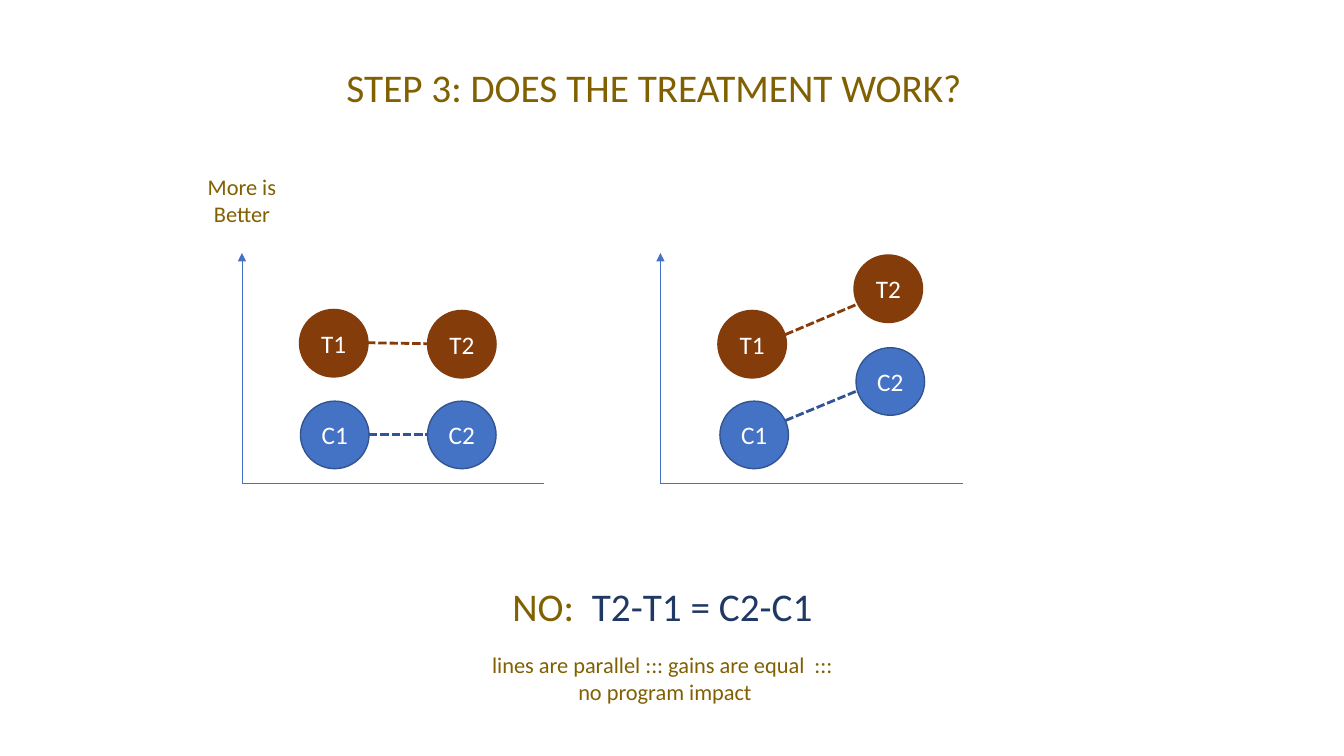
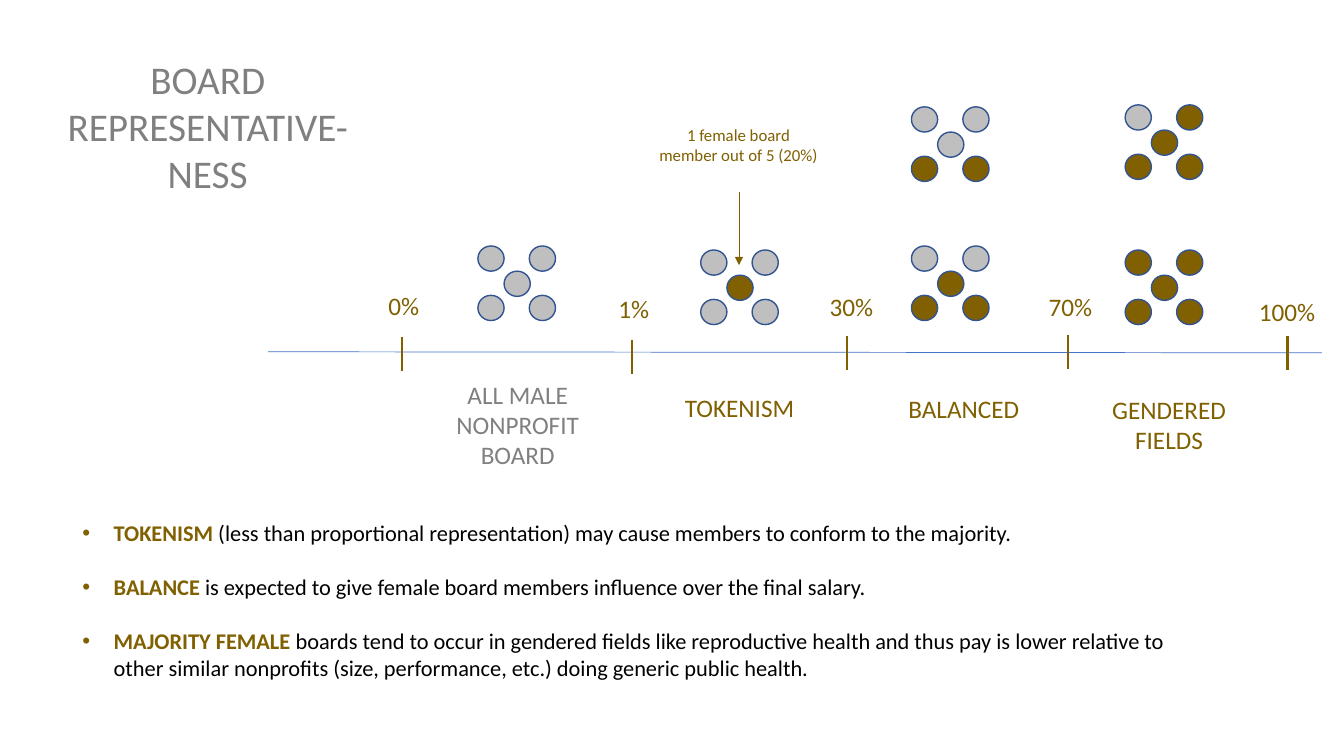
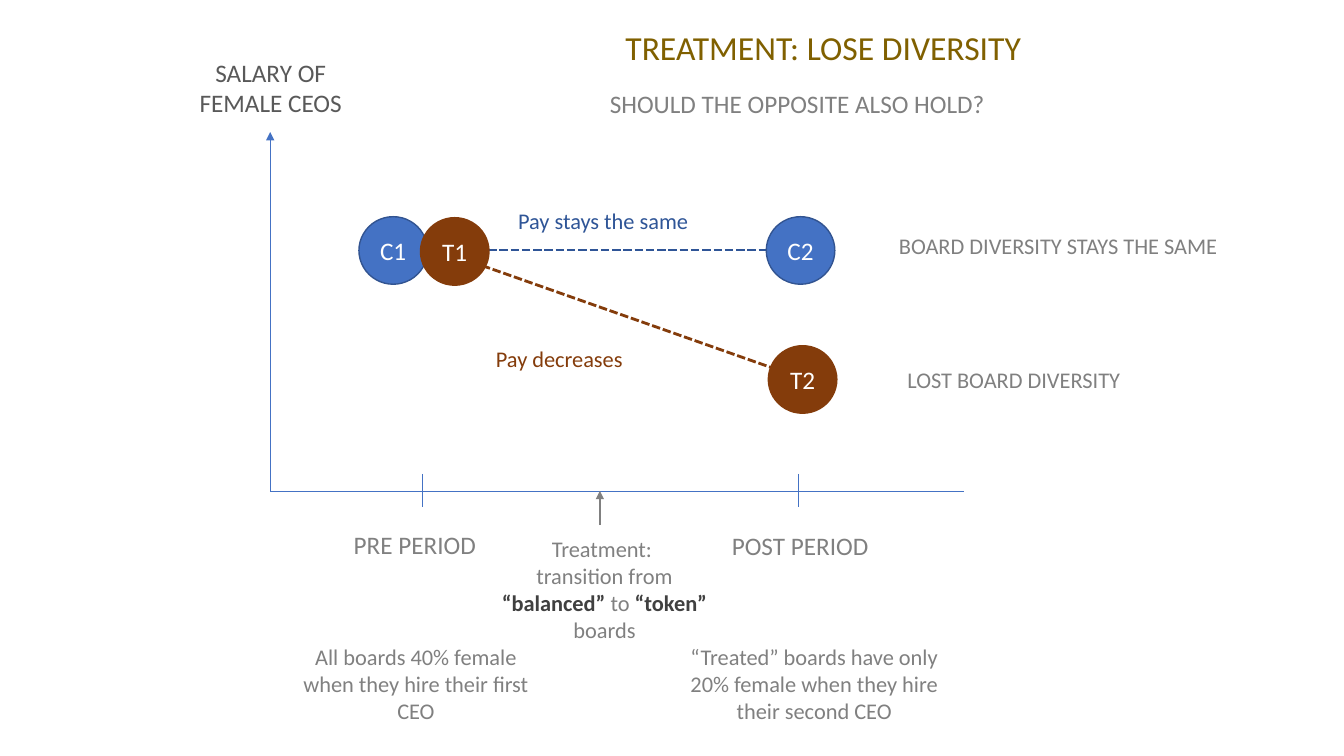
from dataclasses import dataclass
from typing import Optional

from lxml import etree
from pptx import Presentation
from pptx.dml import color as dml
from pptx.enum import dml as dash, shapes, text
from pptx.oxml import ns
from pptx.util import Inches, Pt

FONT = "Calibri"
GOLD, GRAY, DARK, SLATE = "806000", "808080", "404040", "595959"
BLUE, BLUE_EDGE, BLUE_LINK, NAVY = "4472C4", "325491", "2F5597", "203864"
BROWN, SILVER, WHITE, BLACK = "843C0B", "BFBFBF", "FFFFFF", "000000"
CENTER, LEFT = text.PP_ALIGN.CENTER, text.PP_ALIGN.LEFT
DISC_W, DISC_H = 0.68, 0.67
DOT_W, DOT_H = 0.26, 0.25
DOT_OFFSETS = [(0, 0), (0.51, 0), (0, 0.49), (0.51, 0.49), (0.26, 0.25)]
TICK_H = 0.34


@dataclass
class Run:
    """A piece of text with its own colour and weight."""
    text: str
    color: str
    bold: bool = False


@dataclass
class Note:
    """A text box; each paragraph is a list of runs."""
    left: float
    top: float
    width: float
    height: float
    paras: list[list[Run]]
    size: float = 16
    align: text.PP_ALIGN = CENTER
    wrap: bool = True
    bullet: bool = False


@dataclass
class Rule:
    """A straight line, dashed or with an arrowhead at its end if asked."""
    x1: float
    y1: float
    x2: float
    y2: float
    color: str = BLUE
    weight: float = 0.5
    dashed: bool = False
    arrow: bool = False


@dataclass
class Disc:
    """A labelled group: T for treatment, C for control."""
    label: str
    left: float
    top: float


@dataclass
class Board:
    """Five board members; F marks a woman, M a man."""
    left: float
    top: float
    members: str


@dataclass
class Tick:
    """A mark on the share scale with its label position."""
    x: float
    top: float
    label: str
    label_left: float
    label_top: float


def rgb(value: str) -> dml.RGBColor:
    """Turn a hex string into a colour."""
    return dml.RGBColor.from_string(value)


def line(words: str, color: str) -> list[list[Run]]:
    """One paragraph holding one run."""
    return [[Run(words, color)]]


def add_run(p, run: Run, size: float) -> None:
    """Append a formatted run to a paragraph."""
    r = p.add_run()
    r.text = run.text
    r.font.name, r.font.size, r.font.bold = FONT, Pt(size), run.bold
    r.font.color.rgb = rgb(run.color)


def add_bullet(p, color: str) -> None:
    """Give a paragraph a round bullet and a hanging indent."""
    props = p._p.get_or_add_pPr()
    props.set("marL", str(Inches(0.31)))
    props.set("indent", str(Inches(-0.31)))
    tint = etree.SubElement(props, ns.qn("a:buClr"))
    etree.SubElement(tint, ns.qn("a:srgbClr"), val=color)
    etree.SubElement(props, ns.qn("a:buFont"), typeface="Arial")
    etree.SubElement(props, ns.qn("a:buChar"), char="•")


def draw_note(s, note: Note) -> None:
    """Draw a text box."""
    box = s.shapes.add_textbox(Inches(note.left), Inches(note.top),
                               Inches(note.width), Inches(note.height))
    tf = box.text_frame
    tf.word_wrap = note.wrap
    tf.auto_size = text.MSO_AUTO_SIZE.SHAPE_TO_FIT_TEXT
    for i, runs in enumerate(note.paras):
        p = tf.add_paragraph() if i else tf.paragraphs[0]
        p.alignment = note.align
        if note.bullet:
            if i < len(note.paras) - 1:
                p.space_after = Pt(19.5)
            add_bullet(p, runs[0].color)
        for run in runs:
            add_run(p, run, note.size)


def draw_rule(s, rule: Rule) -> None:
    """Draw a line without shadow."""
    c = s.shapes.add_connector(shapes.MSO_CONNECTOR.STRAIGHT,
                               Inches(rule.x1), Inches(rule.y1),
                               Inches(rule.x2), Inches(rule.y2))
    c.line.color.rgb = rgb(rule.color)
    c.line.width = Pt(rule.weight)
    if rule.dashed:
        c.line.dash_style = dash.MSO_LINE.SQUARE_DOT
    if rule.arrow:
        etree.SubElement(c.line._get_or_add_ln(), ns.qn("a:tailEnd"), type="triangle")
    etree.SubElement(c._element.spPr, ns.qn("a:effectLst"))


def draw_ellipse(holder, left: float, top: float, width: float, height: float,
                 fill: str, edge: str):
    """Draw a plain ellipse on a slide or in a group."""
    sp = holder.shapes.add_shape(shapes.MSO_SHAPE.OVAL, Inches(left), Inches(top),
                                 Inches(width), Inches(height))
    sp.shadow.inherit = False
    sp.fill.solid()
    sp.fill.fore_color.rgb = rgb(fill)
    sp.line.color.rgb = rgb(edge)
    sp.line.width = Pt(1)
    return sp


def draw_disc(s, disc: Disc) -> None:
    """Draw a labelled disc coloured by its group."""
    fill, edge = (BROWN, BROWN) if disc.label[0] == "T" else (BLUE, BLUE_EDGE)
    tf = draw_ellipse(s, disc.left, disc.top, DISC_W, DISC_H, fill, edge).text_frame
    tf.word_wrap = False
    tf.vertical_anchor = text.MSO_ANCHOR.MIDDLE
    p = tf.paragraphs[0]
    p.alignment = CENTER
    add_run(p, Run(disc.label, WHITE), 18)


def draw_board(s, board: Board) -> None:
    """Draw five grouped dots: four corners and the centre."""
    group = s.shapes.add_group_shape()
    for (dx, dy), member in zip(DOT_OFFSETS, board.members):
        draw_ellipse(group, board.left + dx, board.top + dy, DOT_W, DOT_H,
                     GOLD if member == "F" else SILVER, BLUE_EDGE)


def draw_tick(s, tick: Tick) -> None:
    """Draw a scale mark and its percentage."""
    draw_rule(s, Rule(tick.x, tick.top, tick.x, tick.top + TICK_H, GOLD, 1.5))
    draw_note(s, Note(tick.label_left, tick.label_top, 1.45, 0.4,
                      line(tick.label, GOLD), 18))


def draw_axes(s, x: float, top: float, right: float, base: float) -> None:
    """Draw an upward arrow and a base line."""
    draw_rule(s, Rule(x, base, x, top, arrow=True))
    draw_rule(s, Rule(x, base, right, base))


def link(x1: float, y1: float, x2: float, y2: float, color: str) -> Rule:
    """A dashed trend between two discs."""
    return Rule(x1, y1, x2, y2, color, 2, dashed=True)


def draw_all(s, draw: Optional[callable], items: list) -> None:
    """Draw each item of a list with one function."""
    for item in items:
        draw(s, item)


def build_step(s) -> None:
    """Two charts with parallel trends."""
    draw_all(s, draw_rule, [
        link(7.48, 3.45, 8.71, 2.93, BROWN),
        link(7.48, 4.3, 8.81, 3.75, BLUE_LINK),
        link(3.64, 3.4, 4.24, 3.41, BROWN),
        link(3.66, 4.31, 4.24, 4.31, BLUE_LINK),
    ])
    for x in (2.4, 6.55):
        draw_axes(s, x, 2.51, x + 3, 4.8)
    draw_all(s, draw_disc, [
        Disc("T1", 2.97, 3.07), Disc("T2", 4.24, 3.08),
        Disc("C1", 2.98, 3.98), Disc("C2", 4.24, 3.98),
        Disc("T1", 7.12, 3.08), Disc("T2", 8.47, 2.53),
        Disc("C1", 7.14, 3.98), Disc("C2", 8.49, 3.45),
    ])
    draw_all(s, draw_note, [
        Note(2.88, 0.58, 7.21, 0.57, line("STEP 3: DOES THE TREATMENT WORK?", GOLD),
             28, wrap=False),
        Note(1.82, 1.67, 1.16, 0.64, line("More is Better", GOLD)),
        Note(4.64, 5.73, 3.86, 0.57,
             [[Run("NO:  ", GOLD), Run("T2-T1 = C2-C1", NAVY)]], 28, wrap=False),
        Note(4.72, 6.41, 3.75, 0.64,
             line("lines are parallel ::: gains are equal  :::  no program impact", GOLD)),
    ])


def build_boards(s) -> None:
    """A scale of female board shares with sample boards."""
    draw_rule(s, Rule(2.66, 3.49, 13.11, 3.5))
    draw_all(s, draw_board, [
        Board(4.74, 2.44, "MMMMM"), Board(6.95, 2.48, "MMMMF"),
        Board(9.04, 1.06, "MMFFM"), Board(9.04, 2.44, "MMFFF"),
        Board(11.16, 1.04, "MFFFF"), Board(11.16, 2.48, "FFFFF"),
    ])
    draw_all(s, draw_tick, [
        Tick(3.99, 3.34, "0%", 3.28, 2.83),
        Tick(6.27, 3.37, "1%", 5.56, 2.86),
        Tick(8.4, 3.33, "30%", 7.72, 2.84),
        Tick(10.59, 3.32, "70%", 9.89, 2.84),
        Tick(12.77, 3.33, "100%", 12.04, 2.89),
    ])
    draw_rule(s, Rule(7.33, 1.9, 7.33, 2.63, GOLD, arrow=True))
    points = [
        ("TOKENISM", " (less than proportional representation) may cause members "
                     "to conform to the majority."),
        ("BALANCE", " is expected to give female board members influence over "
                    "the final salary."),
        ("MAJORITY FEMALE", " boards tend to occur in gendered fields like reproductive "
                            "health and thus pay is lower relative to other similar "
                            "nonprofits (size, performance, etc.) doing generic public "
                            "health."),
    ]
    draw_all(s, draw_note, [
        Note(0.34, 0.5, 3.44, 1.51, line("BOARD REPRESENTATIVE-NESS", GRAY), 28),
        Note(6.44, 1.19, 1.77, 0.71, line("1 female board member out of 5 (20%)", GOLD), 12),
        Note(4.41, 3.71, 1.45, 1.01, line("ALL MALE NONPROFIT BOARD", GRAY), 18),
        Note(6.61, 3.84, 1.45, 0.4, line("TOKENISM", GOLD), 18),
        Note(8.63, 3.85, 1.86, 0.4, line("BALANCED", GOLD), 18),
        Note(10.59, 3.86, 2.01, 0.71, line("GENDERED FIELDS", GOLD), 18),
        Note(0.72, 5.1, 11.07, 1.72,
             [[Run(term, GOLD, True), Run(rest, BLACK)] for term, rest in points],
             align=LEFT, bullet=True),
    ])


def build_treatment(s) -> None:
    """Salary before and after boards lose diversity."""
    draw_all(s, draw_rule, [
        link(4.57, 2.56, 7.83, 3.71, BROWN),
        link(4.17, 2.48, 7.6, 2.48, BLUE_LINK),
    ])
    draw_axes(s, 2.68, 1.31, 9.56, 4.87)
    draw_all(s, draw_rule, [Rule(x, 4.7, x, 5.03) for x in (4.19, 7.92)])
    draw_rule(s, Rule(5.95, 5.21, 5.95, 4.87, GRAY, 1.25, arrow=True))
    draw_all(s, draw_disc, [
        Disc("C1", 3.56, 2.15), Disc("C2", 7.6, 2.15),
        Disc("T1", 4.17, 2.16), Disc("T2", 7.62, 3.43),
    ])
    transition = [
        [Run("Treatment: ", GRAY)],
        [Run("transition from ", GRAY), Run("“balanced” ", DARK, True), Run("to ", GRAY),
         Run("“token” ", DARK, True), Run("boards", GRAY)],
    ]
    draw_all(s, draw_note, [
        Note(5.81, 0.22, 4.71, 0.5, line("TREATMENT: LOSE DIVERSITY", GOLD), 24, wrap=False),
        Note(5.95, 0.83, 5.03, 0.4, line("SHOULD THE OPPOSITE ALSO HOLD?", GRAY), 18, LEFT),
        Note(1.85, 0.52, 1.67, 0.71, line("SALARY OF FEMALE CEOS", SLATE), 18),
        Note(5.04, 2.01, 2.28, 0.37, line("Pay stays the same", BLUE_LINK), align=LEFT),
        Note(4.82, 3.38, 1.85, 0.37, line("Pay decreases", BROWN), align=LEFT),
        Note(8.79, 2.25, 3.41, 0.37, line("BOARD DIVERSITY STAYS THE SAME", GRAY)),
        Note(8.81, 3.58, 2.49, 0.37, line("LOST BOARD DIVERSITY", GRAY)),
        Note(3.41, 5.2, 1.42, 0.4, line("PRE PERIOD", GRAY), 18, LEFT, wrap=False),
        Note(7.16, 5.21, 1.57, 0.4, line("POST PERIOD", GRAY), 18, LEFT, wrap=False),
        Note(4.75, 5.26, 2.49, 1.18, transition),
        Note(2.88, 6.33, 2.49, 0.91,
             line("All boards 40% female when they hire their first CEO", GRAY)),
        Note(6.67, 6.33, 2.81, 0.91,
             line("“Treated” boards have only 20% female when they hire their second CEO",
                  GRAY)),
    ])


def main() -> None:
    """Build and save the slides."""
    prs = Presentation()
    prs.slide_width, prs.slide_height = Inches(13.33), Inches(7.5)
    for build in (build_step, build_boards, build_treatment):
        build(prs.slides.add_slide(prs.slide_layouts[6]))
    prs.save("out.pptx")


main()
